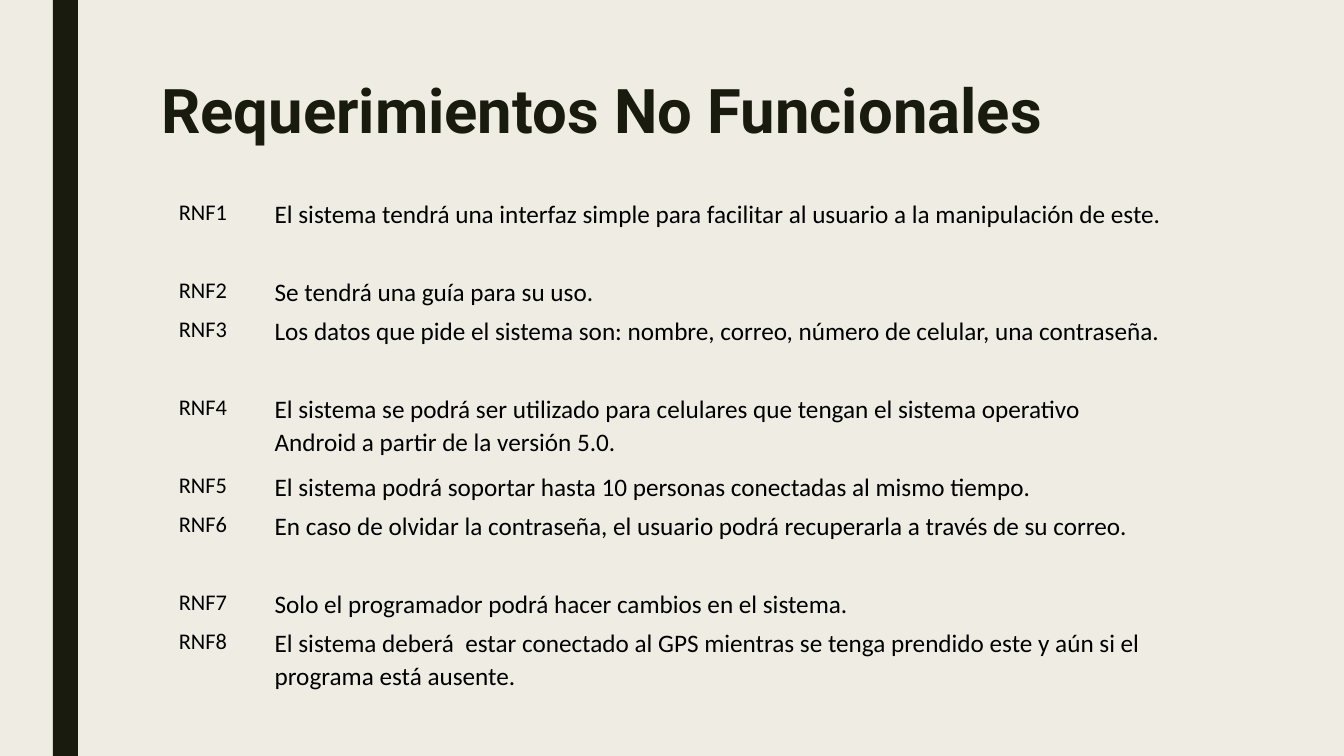
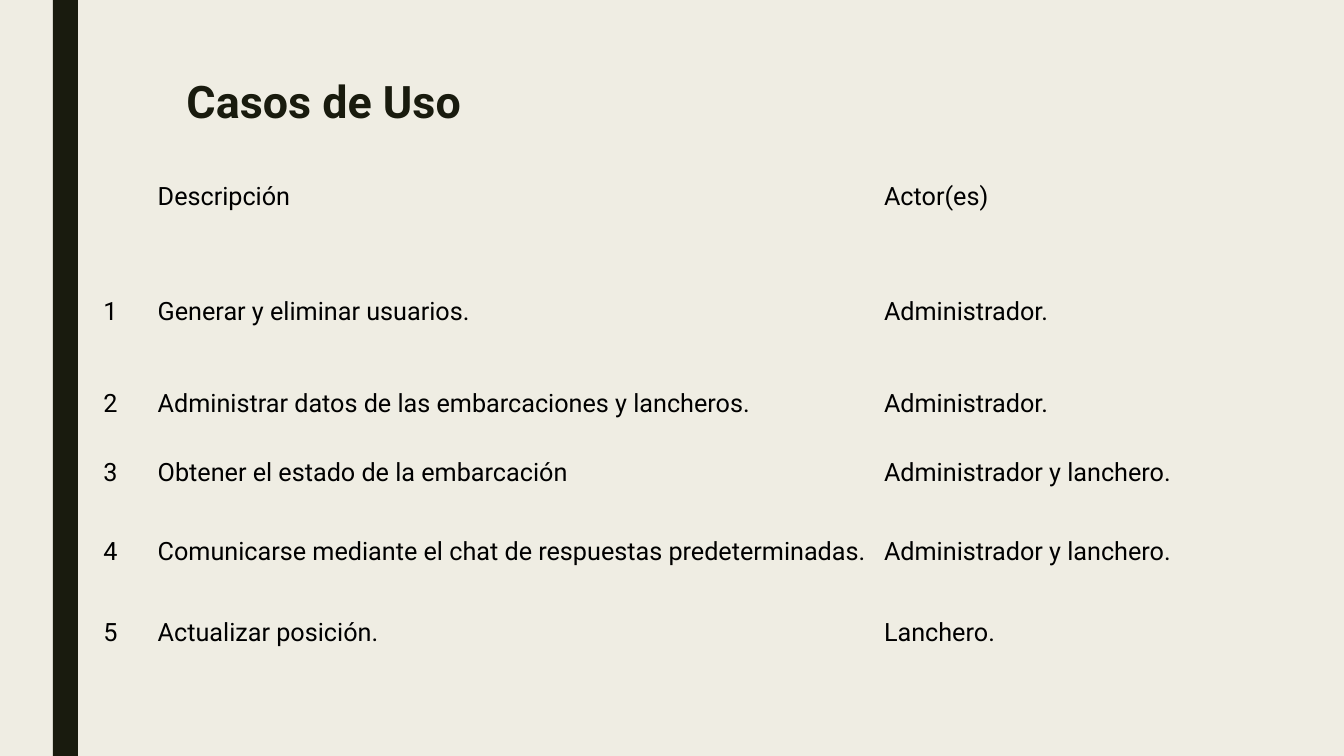
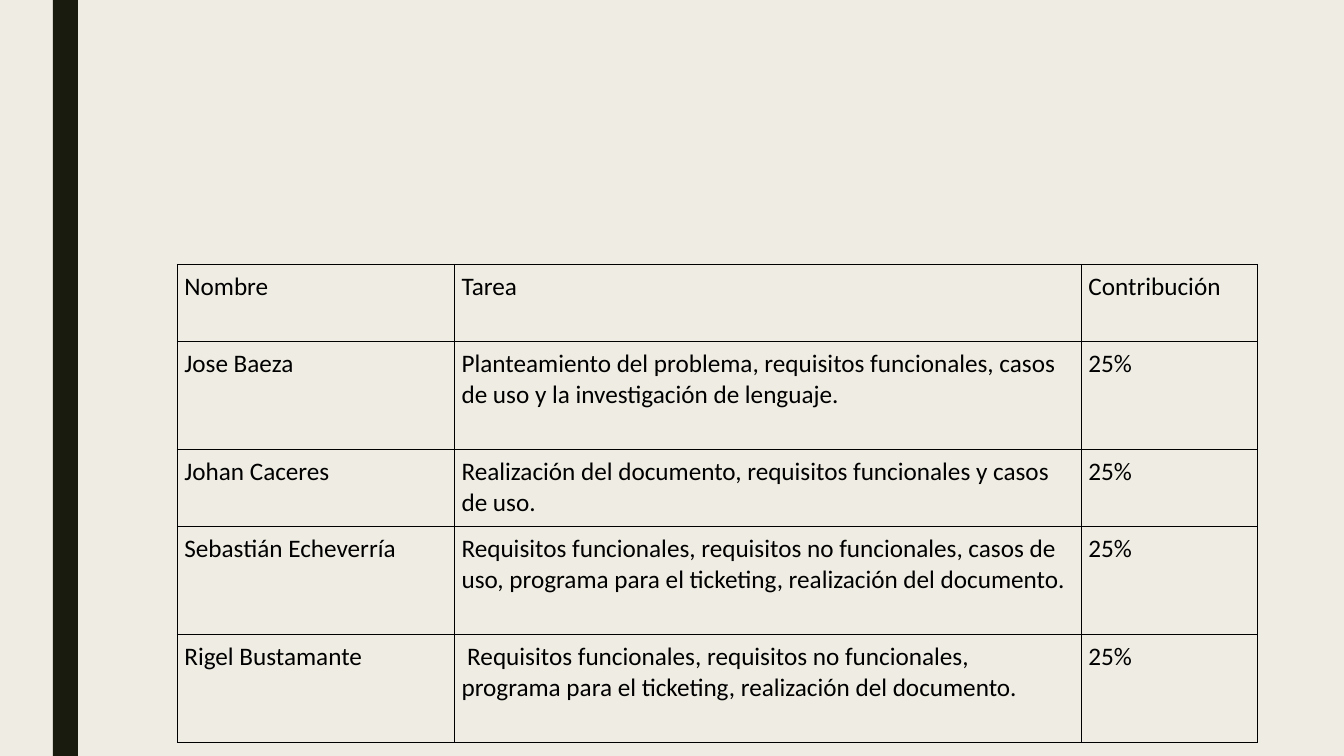
from lxml import etree
from pptx import Presentation
from pptx.dml.color import RGBColor
from pptx.enum import shapes, text
from pptx.oxml import ns
from pptx.util import Pt

COLORS = {"paper": "EFEDE3", "ink": "191B0E", "body": "000000"}
SLIDE_W, SLIDE_H = 960, 540
PLAIN_TABLE_STYLE = "{2D5ABB26-0587-4C30-8999-92F81FD0307C}"
TITLE_ONLY, BLANK = 5, 6

REQUIREMENTS = [
    "El sistema tendrá una interfaz simple para facilitar al usuario a la manipulación de este.",
    "Se tendrá una guía para su uso.",
    "Los datos que pide el sistema son: nombre, correo, número de celular, una contraseña.",
    "El sistema se podrá ser utilizado para celulares que tengan el sistema operativo "
    "Android a partir de la versión 5.0.",
    "El sistema podrá soportar hasta 10 personas conectadas al mismo tiempo.",
    "En caso de olvidar la contraseña, el usuario podrá recuperarla a través de su correo.",
    "Solo el programador podrá hacer cambios en el sistema.",
    "El sistema deberá  estar conectado al GPS mientras se tenga prendido este y aún si el "
    "programa está ausente.",
]
JUSTIFIED_REQUIREMENTS = (2, 5, 6, 7)

USE_CASES = [
    ("Generar y eliminar usuarios.", "Administrador."),
    ("Administrar datos de las embarcaciones y lancheros.", "Administrador."),
    ("Obtener el estado de la embarcación", "Administrador y lanchero."),
    ("Comunicarse mediante el chat de respuestas predeterminadas.",
     "Administrador y lanchero."),
    ("Actualizar posición.", "Lanchero."),
]

TASKS = [
    ("Jose Baeza", "Planteamiento del problema, requisitos funcionales, casos de uso y la "
     "investigación de lenguaje."),
    ("Johan Caceres", "Realización del documento, requisitos funcionales y casos de uso."),
    ("Sebastián Echeverría", "Requisitos funcionales, requisitos no funcionales, casos de uso, "
     "programa para el ticketing, realización del documento."),
    ("Rigel Bustamante", " Requisitos funcionales, requisitos no funcionales, programa para el "
     "ticketing, realización del documento."),
]


def color(name):
    return RGBColor.from_string(COLORS[name])


def style_runs(paragraph, font, size, ink, bold=False):
    for run in paragraph.runs:
        run.font.name = font
        run.font.size = Pt(size)
        run.font.bold = bold
        run.font.color.rgb = color(ink)


# Shared look: background and side band on the master
def set_master(deck, first_slide):
    master = deck.slide_master
    master.background.fill.solid()
    master.background.fill.fore_color.rgb = color("paper")
    band = first_slide.shapes.add_shape(
        shapes.MSO_SHAPE.RECTANGLE, Pt(37.7), 0, Pt(18), Pt(SLIDE_H))
    band.shadow.inherit = False
    band.fill.solid()
    band.fill.fore_color.rgb = color("ink")
    band.line.fill.background()
    band.element.xpath("./p:nvSpPr/p:cNvPr")[0].set("id", "99")
    master.shapes.element.insert(2, band.element)


def set_title(slide, box, words, size):
    title = slide.shapes.title
    title.left, title.top, title.width, title.height = map(Pt, box)
    frame = title.text_frame
    frame.text = words
    frame.auto_size = text.MSO_AUTO_SIZE.NONE
    frame.vertical_anchor = text.MSO_ANCHOR.TOP
    heading = frame.paragraphs[0]
    heading.alignment = text.PP_ALIGN.LEFT
    heading.line_spacing = 0.89
    style_runs(heading, "Roboto", size, "ink", bold=True)


def add_borders(cell):
    properties = cell._tc.get_or_add_tcPr()
    for position, side in enumerate(("lnL", "lnR", "lnT", "lnB")):
        line = etree.Element(ns.qn(f"a:{side}"), w=str(Pt(1)))
        fill = etree.SubElement(line, ns.qn("a:solidFill"))
        etree.SubElement(fill, ns.qn("a:srgbClr"), val=COLORS["body"])
        properties.insert(position, line)


def place_table(slide, corner, widths, heights, rows, font, inset, bordered=False):
    """Place an unfilled table with its top left at corner."""
    frame = slide.shapes.add_table(
        len(heights), len(widths), *map(Pt, (*corner, sum(widths), sum(heights))))
    frame.element.xpath(".//a:tableStyleId")[0].text = PLAIN_TABLE_STYLE
    table = frame.table
    table.first_row = table.horz_banding = False
    for column, width in zip(table.columns, widths):
        column.width = Pt(width)
    for row, height, words in zip(table.rows, heights, rows):
        row.height = Pt(height)
        for cell, entry in zip(row.cells, words):
            cell.margin_left, cell.margin_right = Pt(5), Pt(7)
            cell.margin_top = cell.margin_bottom = Pt(inset)
            cell.fill.background()
            cell.text_frame.text = entry
            style_runs(cell.text_frame.paragraphs[0], font, 18, "body")
            if bordered:
                add_borders(cell)
    return table


# Non-functional requirements
def fill_requirements(slide):
    set_title(slide, (108, 54, 756, 117), "Requerimientos No Funcionales", 44)
    short, tall = 27.9, 55.7
    heights = [tall, short, tall, tall, short, tall, short, tall]
    rows = [(f"RNF{number}", words) for number, words in enumerate(REQUIREMENTS, 1)]
    table = place_table(slide, (122.8, 141), (68.4, 645.8), heights, rows, "Calibri", 0)
    for number, row in enumerate(table.rows, 1):
        code, requirement = (cell.text_frame.paragraphs[0] for cell in row.cells)
        code.line_spacing = requirement.line_spacing = 1.07
        style_runs(code, "Calibri", 16, "body")
        if number in JUSTIFIED_REQUIREMENTS:
            requirement.alignment = text.PP_ALIGN.JUSTIFY
            requirement.space_after = Pt(6)


# Use cases and their actors
def fill_use_cases(slide):
    set_title(slide, (126, 54, 829.4, 59), "Casos de Uso", 32)
    rows = [("", "Descripción", "Actor(es)")]
    rows += [(str(number), *case) for number, case in enumerate(USE_CASES, 1)]
    place_table(slide, (68.8, 126.7), (38.9, 518.8, 232.6),
                (82, 65.6, 49.3, 56.5, 57.9, 68.4), rows, "Roboto", 3.6)


# Contribution of each member
def fill_contributions(slide):
    short, tall = 55, 77.2
    rows = [("Nombre", "Tarea", "Contribución")]
    rows += [(member, task, "25%") for member, task in TASKS]
    place_table(slide, (126.7, 188.9), (198, 447.8, 126),
                (short, tall, short, tall, tall), rows, "Calibri", 5.1, bordered=True)


def main():
    deck = Presentation()
    deck.slide_width, deck.slide_height = Pt(SLIDE_W), Pt(SLIDE_H)
    pages = ((TITLE_ONLY, fill_requirements), (TITLE_ONLY, fill_use_cases),
             (BLANK, fill_contributions))
    for layout, fill_page in pages:
        fill_page(deck.slides.add_slide(deck.slide_layouts[layout]))
    set_master(deck, deck.slides[0])
    deck.save("out.pptx")


if __name__ == "__main__":
    main()
